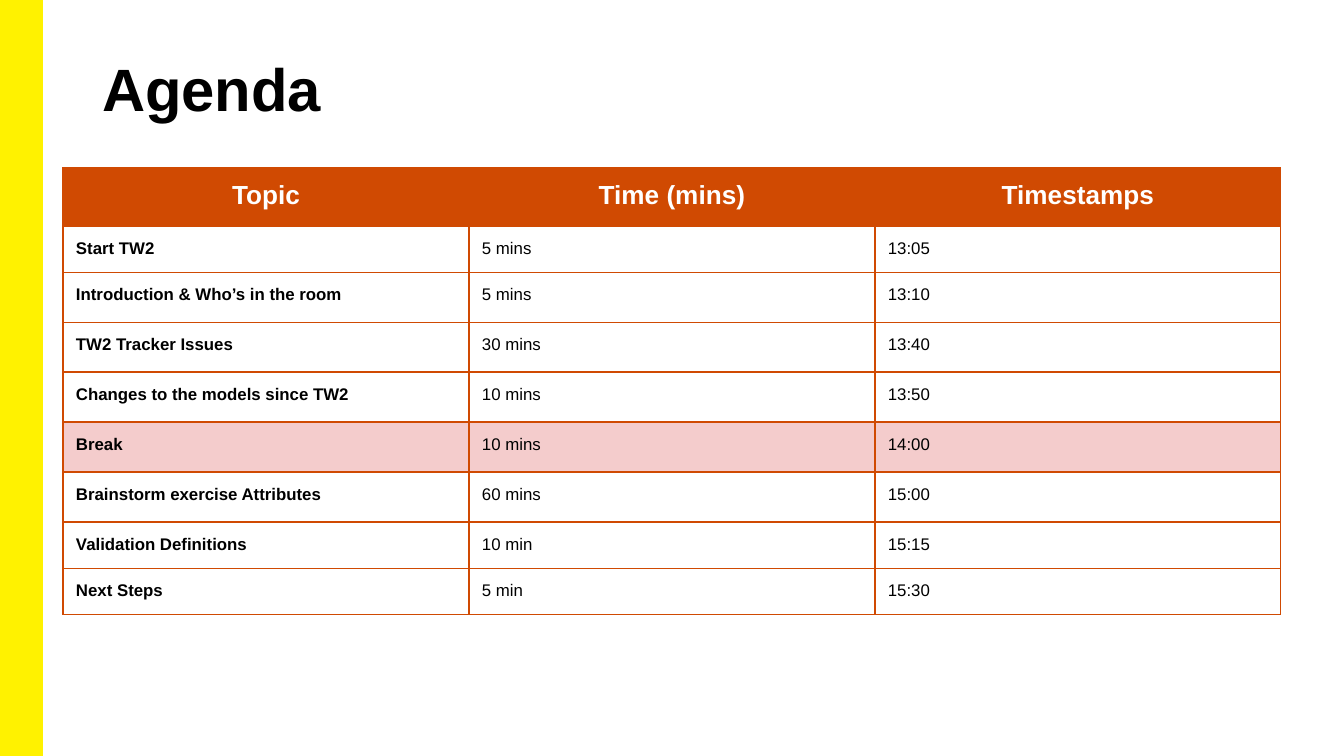
from lxml.etree import SubElement
from pptx import Presentation
from pptx.dml.color import RGBColor
from pptx.enum.shapes import MSO_SHAPE
from pptx.enum.text import PP_ALIGN
from pptx.oxml.ns import qn
from pptx.util import Pt

TITLE = "Agenda"
HEADERS = ("Topic", "Time (mins)", "Timestamps")
AGENDA = [
    ("Start TW2", "5 mins", "13:05"),
    ("Introduction & Who’s in the room", "5 mins", "13:10"),
    ("TW2 Tracker Issues", "30 mins", "13:40"),
    ("Changes to the models since TW2", "10 mins", "13:50"),
    ("Break", "10 mins", "14:00"),
    ("Brainstorm exercise Attributes", "60 mins", "15:00"),
    ("Validation Definitions", "10 min", "15:15"),
    ("Next Steps", "5 min", "15:30"),
]
ROW_HEIGHTS = [58, 46, 50, 50, 50, 50, 50, 46, 46]
COLUMN_WIDTH = 406
COLORS = {"stripe": "FFF200", "accent": "D04A02", "break": "F4CCCC",
          "text": "000000", "header": "FFFFFF"}


def px(length):
    return round(length * 914400 / 134.4)


def color(name):
    return RGBColor.from_string(COLORS[name])


def set_font(paragraph, size, color_name, bold):
    font = paragraph.font
    font.name, font.size, font.bold = "Arial", Pt(size), bold
    font.color.rgb = color(color_name)


def add_borders(cell):
    properties = cell._tc.get_or_add_tcPr()
    for index, side in enumerate(("lnL", "lnR", "lnT", "lnB")):
        line = properties.makeelement(qn(f"a:{side}"), {"w": str(Pt(0.75))})
        fill = SubElement(line, qn("a:solidFill"))
        SubElement(fill, qn("a:srgbClr"), val=COLORS["accent"])
        properties.insert(index, line)


def fill_cell(cell, text, is_header, is_topic, is_break):
    cell.text = text
    cell.margin_left = cell.margin_right = px(13)
    cell.margin_top = cell.margin_bottom = px(13)
    paragraph = cell.text_frame.paragraphs[0]
    if is_header:
        paragraph.alignment = PP_ALIGN.CENTER
        set_font(paragraph, 14, "header", True)
    else:
        set_font(paragraph, 9, "text", is_topic)
    if is_header or is_break:
        cell.fill.solid()
        cell.fill.fore_color.rgb = color("accent" if is_header else "break")
    else:
        cell.fill.background()
    add_borders(cell)


presentation = Presentation()
presentation.slide_width, presentation.slide_height = px(1344), px(756)
slide = presentation.slides.add_slide(presentation.slide_layouts[6])

stripe = slide.shapes.add_shape(MSO_SHAPE.RECTANGLE, 0, 0, px(42), px(756))
stripe.shadow.inherit = False
stripe.fill.solid()
stripe.fill.fore_color.rgb = color("stripe")
stripe.line.color.rgb = color("stripe")
stripe.line.width = Pt(1)

title = slide.shapes.add_textbox(px(93), px(40), px(1158), px(109))
frame = title.text_frame
frame.word_wrap = True
frame.margin_left = frame.margin_right = px(9)
frame.margin_top, frame.margin_bottom = px(12), px(5)
frame.text = TITLE
set_font(frame.paragraphs[0], 32, "text", True)

rows = [HEADERS] + AGENDA
table = slide.shapes.add_table(
    len(rows), len(HEADERS), px(63), px(168),
    px(COLUMN_WIDTH * len(HEADERS)), px(sum(ROW_HEIGHTS))).table
table.first_row = table.horz_banding = False
for column in table.columns:
    column.width = px(COLUMN_WIDTH)
for row_index, (texts, height) in enumerate(zip(rows, ROW_HEIGHTS)):
    table.rows[row_index].height = px(height)
    for column_index, text in enumerate(texts):
        fill_cell(table.cell(row_index, column_index), text,
                  is_header=row_index == 0, is_topic=column_index == 0,
                  is_break=texts[0] == "Break")

presentation.save("out.pptx")
